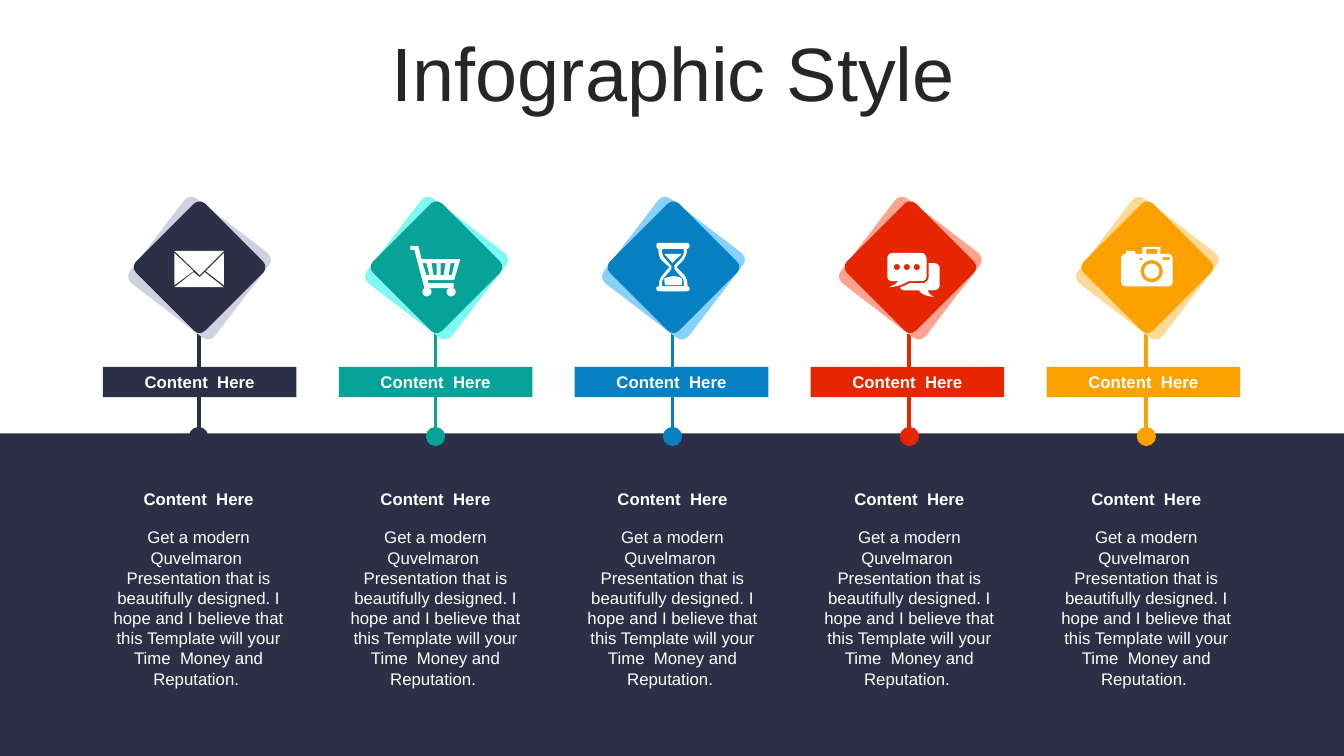
import math

import pptx
import pptx.dml.color
import pptx.enum.shapes
import pptx.enum.text
import pptx.oxml
import pptx.oxml.ns
import pptx.util

Inches = pptx.util.Inches
MSO = pptx.enum.shapes.MSO_SHAPE
ANCHOR = pptx.enum.text.MSO_ANCHOR

NAVY, WHITE = "2C2F45", "FFFFFF"
HEADING = "Content  Here"
BODY = ("Get a modern Quvelmaron  Presentation that is beautifully designed. "
        "I hope and I believe that this Template will your Time  Money and Reputation. ")


def rgb(value):
    return pptx.dml.color.RGBColor.from_string(value)


def write(sp, text, size=12, color=WHITE, bold=False, anchor=ANCHOR.MIDDLE, spacing=None):
    tf = sp.text_frame
    tf.word_wrap = True
    tf.vertical_anchor = anchor
    p = tf.paragraphs[0]
    p.alignment = pptx.enum.text.PP_ALIGN.CENTER
    if spacing:
        p.line_spacing = spacing
    r = p.add_run()
    r.text = text
    r.font.name = "Arial"
    r.font.size = pptx.util.Pt(size)
    r.font.bold = bold
    r.font.color.rgb = rgb(color)


# Icon outlines, in hundredths of an inch from the icon's top left
def circle(cx, cy, radius, steps=36):
    turns = [2 * math.pi * i / steps for i in range(steps)]
    return [(cx + radius * math.cos(t), cy + radius * math.sin(t)) for t in turns]


def outlines(text):
    """Contours split by '/'; points are corners, 'C' takes three Bezier points."""
    contours = []
    for part in text.split("/"):
        pts, tokens = [], iter(part.split())
        for token in tokens:
            if token != "C":
                pts.append(tuple(float(v) for v in token.split(",")))
                continue
            curve = [pts[-1]] + [tuple(float(v) for v in next(tokens).split(","))
                                 for _ in range(3)]
            for t in (i / 8 for i in range(1, 9)):
                weights = [math.comb(3, k) * t ** k * (1 - t) ** (3 - k) for k in range(4)]
                pts.append(tuple(sum(w * c[axis] for w, c in zip(weights, curve))
                                 for axis in (0, 1)))
        contours.append(pts)
    return contours


ENVELOPE = outlines(
    "30,21 49,36 0,36 19,21 25,26 / 49,2 49,34 31,20 / 0,2 19,20 0,34 / 0,0 49,0 25,24")
CART = outlines(
    "40,17 38,29 41,29 44,17 / 30,17 30,29 33,29 35,17 / 21,17 23,29 26,29 26,17 /"
    "12,17 16,29 19,29 16,17 / 8,0 11,13 47,13 C 48,13 50,13 49,15 44,32"
    " C 44,33 43,34 42,34 17,34 18,37 43,37 43,42 42,42 C 44,42 45,44 45,45"
    " C 45,48 43,50 40,50 C 38,50 36,48 36,45 C 36,44 37,42 39,42 19,42"
    " C 20,43 21,44 21,45 C 21,48 19,50 16,50 C 14,50 12,48 12,45"
    " C 12,44 13,42 14,42 4,4 0,4 0,0")
HOURGLASS = outlines(
    "17,33 C 20,33 23,34 25,35 C 26,37 26,40 25,42 9,42 C 8,40 8,37 8,35 C 12,34 15,33 17,33 /"
    "8,11 25,11 C 24,12 24,13 23,13 16,20 10,13 C 9,13 9,12 8,11 /"
    "6,6 C 5,9 6,13 9,16 15,23 15,26 9,33 C 6,36 5,39 6,43 27,43"
    " C 28,39 27,35 24,33 18,26 18,22 24,16 C 27,13 28,9 27,6 /"
    "3,0 30,0 C 32,0 33,1 33,3 C 33,4 32,6 30,6 C 31,10 29,14 26,18 20,24 26,30"
    " C 30,34 31,38 31,43 C 32,43 33,44 33,45 C 33,47 32,48 30,48 3,48"
    " C 1,48 0,47 0,45 C 0,44 1,43 3,43 C 2,39 4,34 7,31 13,24 6,18"
    " C 3,15 2,10 2,6 C 1,6 0,4 0,3 C 0,1 1,0 3,0")
CHAT = [circle(x, 14, 3) for x in (9.6, 19.5, 29.3)] + outlines(
    "41,10 46,10 C 49,10 52,12 52,15 52,32 C 52,35 49,37 46,37 40,37"
    " C 41,39 41,41 47,44 C 37,42 36,42 31,37 17,37 C 15,37 13,36 13,34"
    " C 16,33 19,32 22,30 35,30 C 38,30 41,27 41,24 /"
    "5,0 34,0 C 37,0 39,3 39,6 39,23 C 39,26 37,28 34,28 21,28 C 14,32 12,33 2,34"
    " C 8,31 8,31 11,28 5,28 C 2,28 0,26 0,23 0,6 C 0,3 2,0 5,0")
CAMERA = [circle(30.3, 24, 7.5), circle(30.3, 24, 11)] + outlines(
    "18,11 18,13 21,13 21,11 / 41,10 41,13 48,13 48,10 / 25,2 25,7 36,7 36,2 /"
    "23,0 38,0 C 39,0 39,0 39,1 39,7 47,7 C 49,7 51,9 51,11 51,35 C 51,37 49,39 47,39"
    " 4,39 C 2,39 0,37 0,35 0,11 C 0,9 2,7 4,7 5,7 5,4 13,4 14,5 14,7 21,7 21,1"
    " C 21,0 22,0 23,0")


class Deck:
    def __init__(self):
        self.prs = pptx.Presentation()
        self.prs.slide_width, self.prs.slide_height = Inches(13.33), Inches(7.5)
        self.slide = self.prs.slides.add_slide(self.prs.slide_layouts[6])
        self.shapes = self.slide.shapes

    def paint(self, sp, color):
        sp.shadow.inherit = False
        sp.fill.solid()
        sp.fill.fore_color.rgb = rgb(color)
        sp.line.fill.background()
        return sp

    def box(self, x, y, w, h, color, kind=MSO.RECTANGLE):
        sp = self.shapes.add_shape(kind, Inches(x), Inches(y), Inches(w), Inches(h))
        return self.paint(sp, color)

    def text(self, x, y, w, h, text, **style):
        sp = self.shapes.add_textbox(Inches(x), Inches(y), Inches(w), Inches(h))
        write(sp, text, **style)

    def diamond(self, cx, cy, side, angle, color):
        sp = self.box(cx - side / 2, cy - side / 2, side, side, color, MSO.ROUNDED_RECTANGLE)
        sp.adjustments[0] = 0.08
        sp.rotation = angle

    def stem(self, x, top, bottom, color):
        line = self.shapes.add_connector(pptx.enum.shapes.MSO_CONNECTOR.STRAIGHT,
                                         Inches(x), Inches(top), Inches(x), Inches(bottom))
        line.line.color.rgb = rgb(color)
        line.line.width = pptx.util.Pt(2.75)
        ns = pptx.oxml.ns.nsdecls("a")
        line.line._get_or_add_ln().append(
            pptx.oxml.parse_xml(f'<a:tailEnd {ns} type="oval" w="lg" len="lg"/>'))
        line._element.spPr.append(pptx.oxml.parse_xml(f"<a:effectLst {ns}/>"))

    def icon(self, x, y, contours):
        placed = [[(Inches(x + px / 100), Inches(y + py / 100)) for px, py in pts]
                  for pts in contours]
        builder = self.shapes.build_freeform(*placed[0][0])
        for i, pts in enumerate(placed):
            if i:
                builder.move_to(*pts[0])
            builder.add_line_segments(pts[1:], close=True)
        self.paint(builder.convert_to_shape(), WHITE)


def main():
    deck = Deck()

    # Title and lower band
    deck.text(0.35, 0.37, 12.66, 0.79, "Infographic Style", size=54, color="262626", spacing=0.9)
    deck.box(0, 4.3, 13.33, 3.2, NAVY)

    # Columns: colour, tint, icon, icon offset from the diamond's centre
    columns = [
        (NAVY, "CFD1E0", ENVELOPE, -0.24, -0.16),
        ("07A398", "7DF9F1", CART, -0.25, -0.21),
        ("0680C3", "87D2FB", HOURGLASS, -0.16, -0.24),
        ("E62601", "FFA290", CHAT, -0.22, -0.14),
        ("FBA200", "FFDA97", CAMERA, -0.25, -0.2),
    ]
    cy = 2.65
    for i, (color, tint, contours, dx, dy) in enumerate(columns):
        cx = 1.97 + 2.35 * i
        deck.stem(cx, 3.31, 4.33, color)
        write(deck.box(1.02 + 2.34 * i, 3.64, 1.92, 0.3, color), HEADING, bold=True)
        left = 1.01 + 2.35 * i
        deck.text(left, 4.8, 1.92, 0.3, HEADING, bold=True)
        deck.text(left, 5.18, 1.92, 1.72, BODY, anchor=ANCHOR.TOP)
        deck.diamond(cx + 0.01, cy + 0.01, 1.06, 307.4, tint)
        deck.diamond(cx + 0.01, cy, 0.97, 315, color)
        deck.icon(cx + dx, cy + dy, contours)

    deck.prs.save("out.pptx")


if __name__ == "__main__":
    main()
